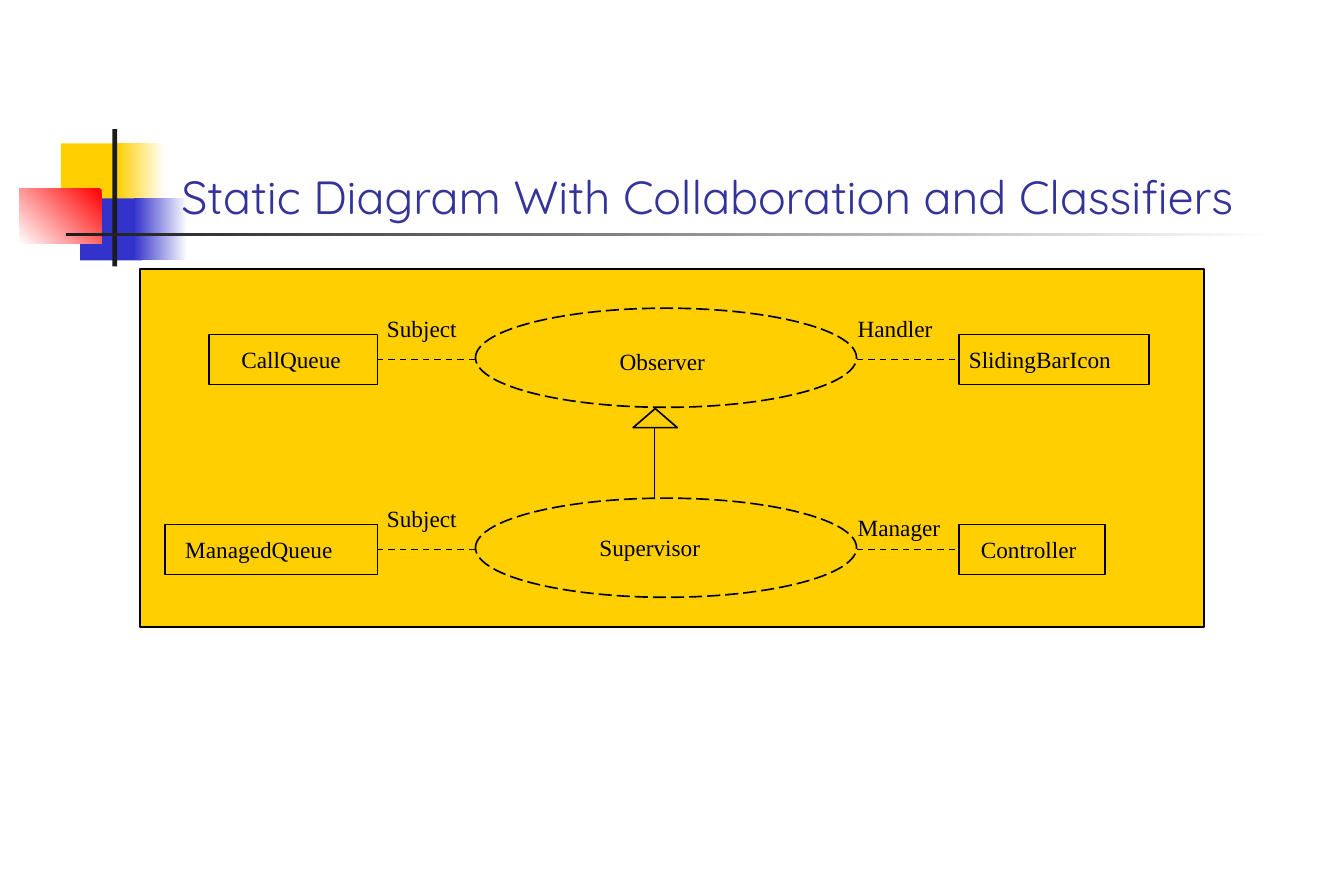
import pptx
import pptx.dml.color
import pptx.enum.dml
import pptx.enum.shapes
import pptx.enum.text
import pptx.oxml
import pptx.util

PX = 9144  # 100 px to the inch
RGB = pptx.dml.color.RGBColor
SHAPE = pptx.enum.shapes.MSO_SHAPE
DASH = pptx.enum.dml.MSO_LINE
ANCHOR = pptx.enum.text.MSO_ANCHOR

WHITE = RGB(0xFF, 0xFF, 0xFF)
BLACK = RGB(0x00, 0x00, 0x00)
INK = RGB(0x1C, 0x1C, 0x1C)
YELLOW = RGB(0xFF, 0xCF, 0x01)
BLUE = RGB(0x33, 0x33, 0xCC)
RED = RGB(0xFF, 0x00, 0x00)
TITLE_BLUE = RGB(0x33, 0x33, 0x99)

BODY_FONT = {"name": "Times New Roman", "size": pptx.util.Pt(14)}
TITLE_FONT = {"name": "Quicksand", "size": pptx.util.Pt(28)}

ELLIPSE_LEFT, ELLIPSE_WIDTH, ELLIPSE_HEIGHT = 398, 319, 83
BOX_DROP, BOX_HEIGHT = 22, 42
LEFT_BOX_END, RIGHT_BOX_START = 316, 803
ROLE_WIDTH, ROLE_HEIGHT = 95, 34

# row top, (collaboration, inset, text drop), (left classifier, width, inset),
# (right classifier, width, inset), (right role, drop below row top)
ROWS = [
    (258, ("Observer", 74, 6), ("CallQueue", 141, 27),
     ("SlidingBarIcon", 159, 8), ("Handler", 0)),
    (417, ("Supervisor", 57, 0), ("ManagedQueue", 178, 17),
     ("Controller", 122, 18), ("Manager", 8)),
]


def px(*lengths):
    return [pptx.util.Emu(length * PX) for length in lengths]


def set_values(target, values):
    for name, value in values.items():
        setattr(target, name, value)


def set_text(shape, text, font, color, anchor, insets):
    """Write one left-aligned line; insets are left, top, right, bottom."""
    frame = shape.text_frame
    left, top, right, bottom = px(*insets)
    set_values(frame, {
        "margin_left": left, "margin_top": top, "margin_right": right,
        "margin_bottom": bottom, "word_wrap": True, "vertical_anchor": anchor,
    })
    para = frame.paragraphs[0]
    para.alignment = pptx.enum.text.PP_ALIGN.LEFT
    span = para.add_run()
    span.text = text
    set_values(span.font, font)
    span.font.color.rgb = color


def set_line(line, dash=None):
    line.color.rgb = BLACK
    set_values(line, {"width": pptx.util.Pt(1), "dash_style": dash})


def add_block(page, bounds, color):
    block = page.shapes.add_shape(SHAPE.RECTANGLE, *px(*bounds))
    block.shadow.inherit = False
    block.fill.solid()
    block.fill.fore_color.rgb = color
    block.line.fill.background()
    return block


def add_fade(page, bounds, start, end, angle=180):
    fill = add_block(page, bounds, start).fill
    fill.gradient()
    fill.gradient_angle = angle
    for stop, color in zip(fill.gradient_stops, (start, end)):
        stop.color.rgb = color


def add_outline(page, kind, bounds, dash=None):
    shape = page.shapes.add_shape(kind, *px(*bounds))
    shape.shadow.inherit = False
    shape.fill.background()
    set_line(shape.line, dash)
    return shape


def add_classifier(page, left, top, width, name, inset):
    box = add_outline(page, SHAPE.RECTANGLE, (left, top, width, BOX_HEIGHT))
    set_text(box, name, BODY_FONT, BLACK, ANCHOR.MIDDLE, (inset, 0, 0, 0))
    return box


def add_role(page, left, top, name):
    box = page.shapes.add_textbox(*px(left, top, ROLE_WIDTH, ROLE_HEIGHT))
    set_text(box, name, BODY_FONT, BLACK, ANCHOR.TOP, (10, 5, 0, 5))


def add_link(page, start, end, dash=None):
    link = page.shapes.add_connector(
        pptx.enum.shapes.MSO_CONNECTOR.STRAIGHT, *px(*start, *end))
    set_line(link.line, dash)
    properties = link._element.spPr
    properties.append(pptx.oxml.parse_xml(
        '<a:effectLst xmlns:a="http://schemas.openxmlformats.org/drawingml/2006/main"/>'))
    return link


def add_title(page, text):
    add_block(page, (51, 120, 54, 52), YELLOW)
    add_fade(page, (98, 120, 40, 52), WHITE, YELLOW)
    add_block(page, (67, 166, 52, 52), BLUE)
    add_fade(page, (112, 166, 45, 52), WHITE, BLUE)
    add_fade(page, (16, 158, 69, 46), RED, WHITE, 225)
    add_block(page, (94, 108, 4, 115), INK)
    add_fade(page, (55, 195, 1012, 3), WHITE, INK)
    box = page.shapes.add_textbox(*px(142, 67, 959, 125))
    set_text(box, text, TITLE_FONT, TITLE_BLUE, ANCHOR.BOTTOM, (10, 5, 10, 5))


def add_row(page, top, collaboration, left_class, right_class, right_role):
    """Draw a collaboration with a classifier linked on each side."""
    name, inset, drop = collaboration
    ellipse = add_outline(
        page, SHAPE.OVAL, (ELLIPSE_LEFT, top, ELLIPSE_WIDTH, ELLIPSE_HEIGHT),
        DASH.LONG_DASH)
    set_text(ellipse, name, BODY_FONT, BLACK, ANCHOR.MIDDLE, (inset, drop, 0, 0))

    box_top = top + BOX_DROP
    middle = box_top + BOX_HEIGHT // 2
    ellipse_right = ELLIPSE_LEFT + ELLIPSE_WIDTH
    left_name, left_width, left_inset = left_class
    right_name, right_width, right_inset = right_class
    sides = [
        (LEFT_BOX_END - left_width, left_width, left_name, left_inset,
         ELLIPSE_LEFT, LEFT_BOX_END, 3),
        (RIGHT_BOX_START, right_width, right_name, right_inset,
         ellipse_right, RIGHT_BOX_START, 1),
    ]
    for left, width, label, label_inset, start, end, site in sides:
        box = add_classifier(page, left, box_top, width, label, label_inset)
        link = add_link(page, (start, middle), (end, middle), DASH.DASH)
        link.end_connect(box, site)

    role, role_drop = right_role
    add_role(page, 314, top, "Subject")
    add_role(page, 708, top + role_drop, role)


def add_generalization(page):
    add_outline(page, SHAPE.ISOSCELES_TRIANGLE, (530, 342, 37, 16))
    add_link(page, (548, 358), (548, 417))


def main():
    deck = pptx.Presentation()
    deck.slide_width, deck.slide_height = px(1125, 750)
    page = deck.slides.add_slide(deck.slide_layouts[6])
    add_title(page, "Static Diagram With Collaboration and Classifiers")
    panel = add_block(page, (117, 225, 891, 300), YELLOW)
    set_line(panel.line)
    for row in ROWS:
        add_row(page, *row)
    add_generalization(page)
    deck.save("out.pptx")


if __name__ == "__main__":
    main()
